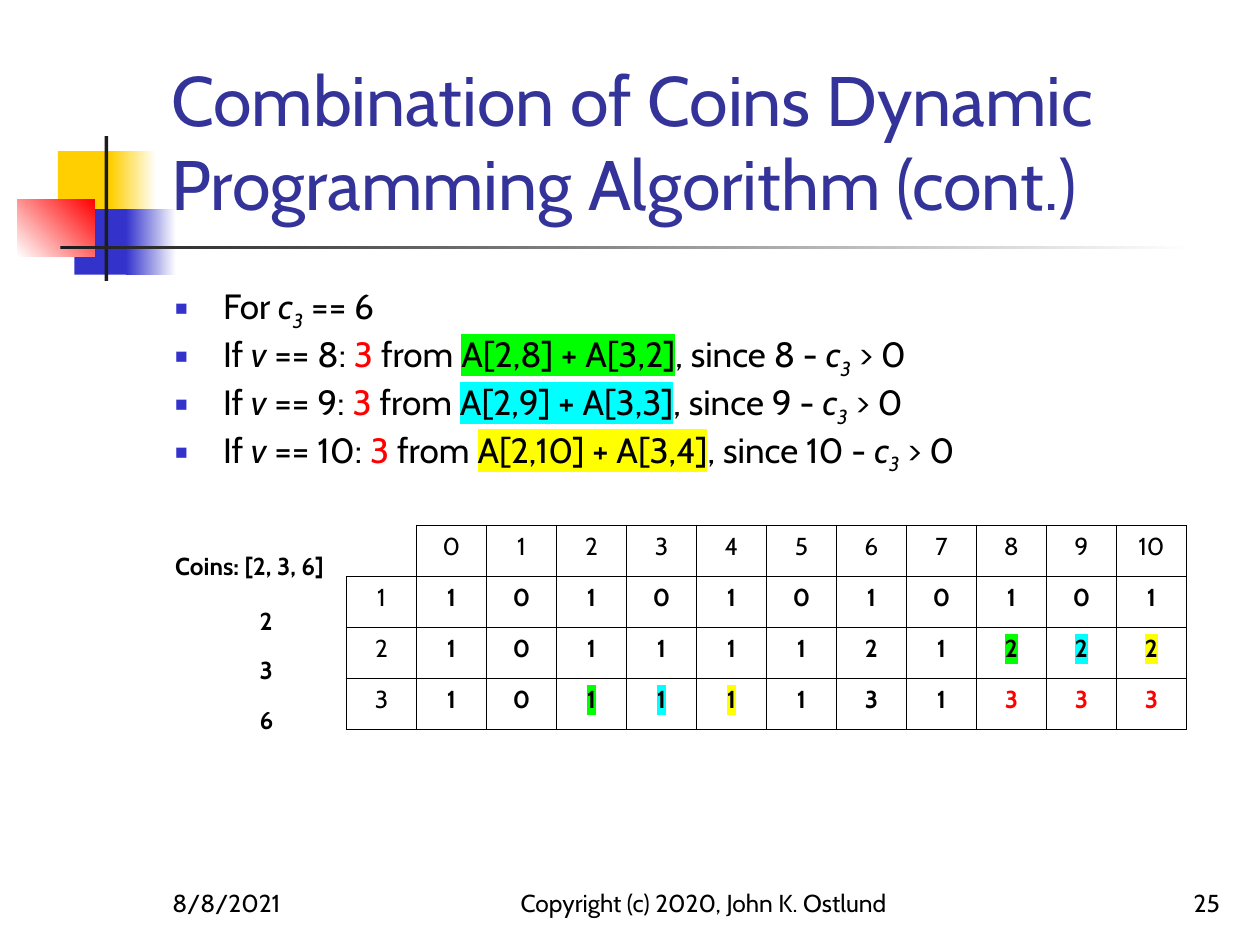
from lxml import etree
from pptx import Presentation
from pptx.dml.color import RGBColor
from pptx.enum.shapes import MSO_SHAPE
from pptx.enum.text import MSO_ANCHOR, MSO_AUTO_SIZE, PP_ALIGN
from pptx.oxml.ns import qn
from pptx.util import Inches, Pt

RECT = MSO_SHAPE.RECTANGLE
TOP, BOTTOM = MSO_ANCHOR.TOP, MSO_ANCHOR.BOTTOM
LEFT, CENTER, RIGHT = PP_ALIGN.LEFT, PP_ALIGN.CENTER, PP_ALIGN.RIGHT
NO_AUTOFIT = MSO_AUTO_SIZE.NONE

FONT = "Cabin"
BLACK = RGBColor(0x00, 0x00, 0x00)
WHITE = RGBColor(0xFF, 0xFF, 0xFF)
INK = RGBColor(0x1C, 0x1C, 0x1C)
GOLD = RGBColor(0xFF, 0xCF, 0x01)
BLUE = RGBColor(0x33, 0x33, 0xCC)
NAVY = RGBColor(0x33, 0x33, 0x99)
RED = RGBColor(0xFF, 0x00, 0x00)
GREEN = RGBColor(0x00, 0xFF, 0x00)
CYAN = RGBColor(0x00, 0xFF, 0xFF)
YELLOW = RGBColor(0xFF, 0xFF, 0x00)

# value, highlight, first term, second term
CASES = [
    (8, GREEN, "A[2,8]", "A[3,2]"),
    (9, CYAN, "A[2,9]", "A[3,3]"),
    (10, YELLOW, "A[2,10]", "A[3,4]"),
]
COUNTS = [
    [1, 0, 1, 0, 1, 0, 1, 0, 1, 0, 1],
    [1, 0, 1, 1, 1, 1, 2, 1, 2, 2, 2],
    [1, 0, 1, 1, 1, 1, 3, 1, 3, 3, 3],
]
COIN = 6


def add_color(parent, tag, color):
    el = etree.SubElement(parent, qn(tag))
    etree.SubElement(el, qn("a:srgbClr")).set("val", str(color))
    return el


def add_run(p, text, size, color=BLACK, bold=False, italic=False,
            highlight=None, subscript=False):
    r = p.add_run()
    r.text = text
    r.font.size, r.font.bold, r.font.italic = Pt(size), bold, italic
    r.font.color.rgb = color
    rPr = r.font._element
    if highlight is not None:
        add_color(rPr, "a:highlight", highlight)
    if subscript:
        rPr.set("baseline", "-25000")
    r.font.name = FONT


def place(sp, left, top, width, height):
    sp.left, sp.top = Inches(left), Inches(top)
    sp.width, sp.height = Inches(width), Inches(height)


def set_frame(tf, anchor):
    tf.word_wrap = True
    tf.auto_size = NO_AUTOFIT
    tf.vertical_anchor = anchor


def set_paragraph(p, before=0, margin=0.0, indent=0.0, bullet=False):
    pPr = p._p.get_or_add_pPr()
    pPr.set("marL", str(Inches(margin)))
    pPr.set("indent", str(Inches(indent)))
    if bullet:
        add_color(pPr, "a:buClr", BLUE)
        etree.SubElement(pPr, qn("a:buSzPct")).set("val", "60000")
        etree.SubElement(pPr, qn("a:buFont")).set("typeface", "Arial")
        etree.SubElement(pPr, qn("a:buChar")).set("char", "■")
    else:
        etree.SubElement(pPr, qn("a:buNone"))
    p.alignment = LEFT
    p.line_spacing = 1.0
    p.space_before = Pt(before)


def add_block(slide, box, color, fade_to=None, angle=0):
    sp = slide.shapes.add_shape(RECT, *map(Inches, box))
    sp.shadow.inherit = False
    sp.line.fill.background()
    if fade_to is None:
        sp.fill.solid()
        sp.fill.fore_color.rgb = color
        return
    sp.fill.gradient()
    sp.fill.gradient_angle = angle
    for stop, stop_color in zip(sp.fill.gradient_stops, (color, fade_to)):
        stop.color.rgb = stop_color
    for stop, position in zip(sp.fill.gradient_stops, (0, 1)):
        stop.position = position


def add_motif(slide, x, y):
    """Coloured squares and crossing bars, from the motif's top left corner."""
    add_block(slide, (x + 0.32, y + 0.12, 0.48, 0.52), GOLD)
    add_block(slide, (x + 0.74, y + 0.12, 0.36, 0.52), GOLD, WHITE)
    add_block(slide, (x + 0.45, y + 0.58, 0.46, 0.52), BLUE)
    add_block(slide, (x + 0.86, y + 0.58, 0.4, 0.52), BLUE, WHITE)
    add_block(slide, (x, y + 0.5, 0.61, 0.46), WHITE, RED, 45)
    add_block(slide, (x + 0.69, y, 0.03, 1.15), INK)
    add_block(slide, (x + 0.34, y + 0.87, 9, 0.03), INK, WHITE)


def fill_title(title, box):
    place(title, *box)
    tf = title.text_frame
    set_frame(tf, BOTTOM)
    set_paragraph(tf.paragraphs[0])
    add_run(tf.paragraphs[0],
            "Combination of Coins Dynamic Programming Algorithm (cont.)", 40, NAVY)


def add_coin_symbol(p):
    add_run(p, "c", 20, italic=True)
    add_run(p, "3", 20, italic=True, subscript=True)


def fill_body(body, box):
    place(body, *box)
    tf = body.text_frame
    set_frame(tf, TOP)
    p = tf.paragraphs[0]
    set_paragraph(p, 0, 0.38, -0.38, bullet=True)
    add_run(p, "For ", 20)
    add_coin_symbol(p)
    add_run(p, f" == {COIN}", 20)
    for value, highlight, first, second in CASES:
        p = tf.add_paragraph()
        set_paragraph(p, 0, 0.38, -0.38, bullet=True)
        add_run(p, "If ", 20)
        add_run(p, "v", 20, italic=True)
        add_run(p, f" == {value}: ", 20)
        add_run(p, "3", 20, RED)
        add_run(p, " from ", 20)
        add_run(p, f"{first} + {second}", 20, highlight=highlight)
        add_run(p, f", since {value} - ", 20)
        add_coin_symbol(p)
        add_run(p, " > 0", 20)
    for text, before, margin in [("Coins: [2, 3, 6]", 43, 0), ("2", 14.4, 0.67),
                                 ("3", 11.6, 0.67), ("6", 11.6, 0.67)]:
        p = tf.add_paragraph()
        set_paragraph(p, before, margin)
        add_run(p, text, 14, bold=True)


def set_borders(cell, sides):
    tcPr = cell._tc.get_or_add_tcPr()
    for side in ("L", "R", "T", "B"):
        ln = etree.Element(qn(f"a:ln{side}"), w=str(Pt(1)))
        if side in sides:
            add_color(ln, "a:solidFill", BLACK)
        else:
            etree.SubElement(ln, qn("a:noFill"))
        tcPr.append(ln)


def add_count_table(slide, left, top, width, height):
    values = range(len(COUNTS[0]))
    rows = [["", *values]] + [[i, *row] for i, row in enumerate(COUNTS, 1)]
    highlights = {}
    for value, color, *_ in CASES:
        highlights[2, value + 1] = highlights[3, value - COIN + 1] = color
    results = {(3, value + 1) for value, *_ in CASES}

    frame = slide.shapes.add_table(len(rows), len(rows[0]), Inches(left),
                                   Inches(top), Inches(width), Inches(height))
    table = frame.table
    table.first_row = table.horz_banding = False
    for i, row in enumerate(rows):
        for j, value in enumerate(row):
            cell = table.cell(i, j)
            set_borders(cell, "RB" if i == j == 0 else "LRTB")
            cell.fill.background()
            if value == "":
                continue
            p = cell.text_frame.paragraphs[0]
            p.alignment = CENTER
            add_run(p, str(value), 14, RED if (i, j) in results else BLACK,
                    bold=i > 0 and j > 0, highlight=highlights.get((i, j)))


def add_footer(slide, top, height):
    for text, left, width, align in [
            ("8/8/2021", 1.27, 2.08, LEFT),
            ("Copyright (c) 2020, John K. Ostlund", 4, 3.17, CENTER),
            ("25", 7.7, 2.08, RIGHT)]:
        sp = slide.shapes.add_textbox(*map(Inches, (left, top, width, height)))
        set_frame(sp.text_frame, BOTTOM)
        p = sp.text_frame.paragraphs[0]
        p.alignment = align
        add_run(p, text, 14)


def main():
    prs = Presentation()
    prs.slide_width, prs.slide_height = Inches(10), Inches(7.5)
    slide = prs.slides.add_slide(prs.slide_layouts[1])
    title, body = slide.placeholders
    add_motif(slide, 0.14, 1.08)
    for ph in (title, body):  # bring the text in front of the motif
        slide.shapes._spTree.append(ph._element)
    fill_title(title, (1.26, 0.23, 8.52, 1.6))
    fill_body(body, (1.29, 2.21, 8.5, 4.5))
    add_footer(slide, 6.83, 0.5)
    add_count_table(slide, 2.75, 4.17, 6.67, 1.62)
    prs.save("out.pptx")


if __name__ == "__main__":
    main()
